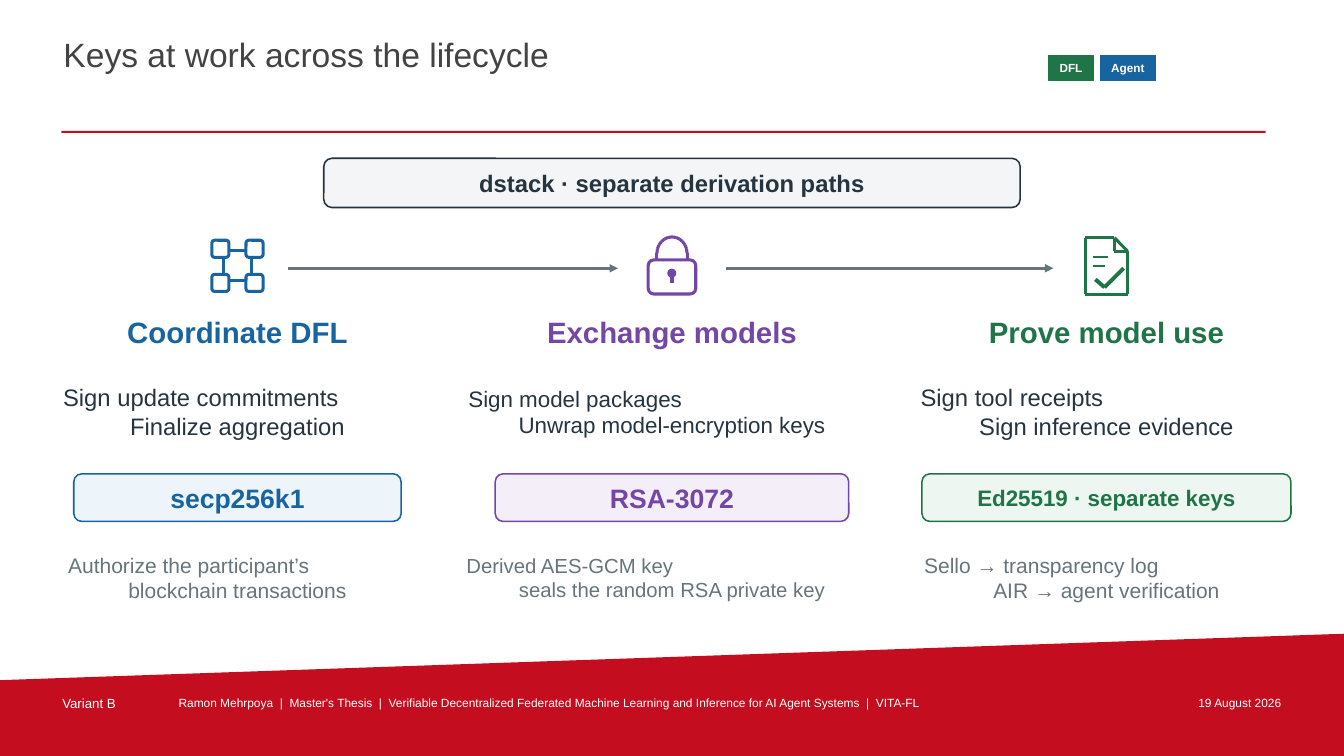
from collections import namedtuple
from dataclasses import dataclass
from itertools import pairwise
from math import cos, pi, sin

from lxml import etree
from pptx import Presentation
from pptx.dml.color import RGBColor
from pptx.enum.shapes import MSO_CONNECTOR, MSO_SHAPE
from pptx.enum.text import MSO_ANCHOR, MSO_AUTO_SIZE, PP_ALIGN
from pptx.oxml.ns import qn
from pptx.util import Cm, Pt

LEFT, CENTER, RIGHT = PP_ALIGN.LEFT, PP_ALIGN.CENTER, PP_ALIGN.RIGHT
TOP, MIDDLE = MSO_ANCHOR.TOP, MSO_ANCHOR.MIDDLE
RECTANGLE, ROUNDED, OVAL = MSO_SHAPE.RECTANGLE, MSO_SHAPE.ROUNDED_RECTANGLE, MSO_SHAPE.OVAL
STRAIGHT = MSO_CONNECTOR.STRAIGHT


@dataclass(frozen=True)
class Theme:
    font: str = "Arial"
    white: str = "FFFFFF"
    red: str = "C40D1E"
    title: str = "434343"
    ink: str = "263440"
    gray: str = "67747C"
    panel: str = "F3F5F6"
    blue: str = "1764A1"
    blue_tint: str = "EDF4FA"
    purple: str = "7446A6"
    purple_tint: str = "F3EEF8"
    green: str = "207548"
    green_tint: str = "EDF6F0"
    title_size: float = 24
    heading_size: float = 21
    banner_size: float = 17
    variant_size: float = 9.5
    footer_size: float = 8.5
    tag_size: float = 8.4
    border: float = 1.1
    icon_line: float = 2.17


THEME = Theme()
Box = namedtuple("Box", "left top width height")
Block = namedtuple("Block", "lines width size")
Stage = namedtuple("Stage", "heading color tint draw_icon clearance tasks key note")


def rgb(color):
    return RGBColor.from_string(color)


def write(shape, *lines, size, color=THEME.ink, bold=False, aligns=(CENTER,), anchor=MIDDLE, inset=0):
    """Fill a shape with one paragraph per line; the last alignment serves any further lines."""
    frame = shape.text_frame
    frame.word_wrap = True
    frame.auto_size = MSO_AUTO_SIZE.NONE
    frame.vertical_anchor = anchor
    frame.margin_left = frame.margin_right = frame.margin_top = frame.margin_bottom = Cm(inset)
    for index, line in enumerate(lines):
        paragraph = frame.add_paragraph() if index else frame.paragraphs[0]
        paragraph.alignment = aligns[min(index, len(aligns) - 1)]
        run = paragraph.add_run()
        run.text = line
        run.font.name = THEME.font
        run.font.size = Pt(size)
        run.font.bold = bold
        run.font.color.rgb = rgb(color)


def add_text(slide, box, *lines, **formatting):
    write(slide.shapes.add_textbox(*map(Cm, box)), *lines, **formatting)


def paint(shape, fill, line=None, width=THEME.border):
    shape.shadow.inherit = False
    shape.fill.solid()
    shape.fill.fore_color.rgb = rgb(fill)
    if line:
        shape.line.color.rgb = rgb(line)
        shape.line.width = Pt(width)
    else:
        shape.line.fill.background()


def add_box(slide, kind, box, **colors):
    shape = slide.shapes.add_shape(kind, *map(Cm, box))
    paint(shape, **colors)
    return shape


def add_line(slide, start, end, color, width, arrow=False):
    connector = slide.shapes.add_connector(STRAIGHT, *map(Cm, start + end))
    connector.line.color.rgb = rgb(color)
    connector.line.width = Pt(width)
    if arrow:
        etree.SubElement(connector.line._get_or_add_ln(), qn("a:tailEnd"), type="triangle")
    etree.SubElement(connector._element.spPr, qn("a:effectLst"))


def add_strokes(slide, points, origin, color, width=THEME.icon_line):
    """Join points, given in cm from the origin, by straight lines."""
    x, y = origin
    for start, end in pairwise([(x + i, y + j) for i, j in points]):
        add_line(slide, start, end, color, width)


def draw_network(slide, x, y, color):
    corners = [(-1, -1), (1, -1), (1, 1), (-1, 1)]
    ring = [(0.36 * i, 0.38 * j) for i, j in corners]
    add_strokes(slide, ring + ring[:1], (x, y), color)
    offset, side = 0.43, 0.43
    for i, j in corners:
        node = Box(x + offset * i - side / 2, y + offset * j - side / 2, side, side)
        add_box(slide, ROUNDED, node, fill=THEME.white, line=color, width=THEME.icon_line)


def draw_lock(slide, x, y, color):
    pen = {"line": color, "width": THEME.icon_line}
    radius, rise, steps = 0.38, 0.41, 12
    arc = [(-radius * cos(pi * step / steps), -0.32 - rise * sin(pi * step / steps))
           for step in range(steps + 1)]
    add_strokes(slide, [(-radius, -0.05), *arc, (radius, -0.05)], (x, y), color)
    add_box(slide, ROUNDED, Box(x - 0.6, y - 0.15, 1.2, 0.86), fill=THEME.white, **pen)
    add_box(slide, OVAL, Box(x - 0.08, y + 0.11, 0.15, 0.15), fill=color, **pen)
    add_strokes(slide, [(0, 0.28), (0, 0.44)], (x, y), color)


def draw_document(slide, x, y, color):
    fold_top, fold_corner, fold_side = (0.2, -0.71), (0.2, -0.37), (0.53, -0.37)
    page = [fold_top, (-0.53, -0.71), (-0.53, 0.72), (0.53, 0.72), fold_side,
            fold_top, fold_corner, fold_side]
    add_strokes(slide, page, (x, y), color)
    for end, height in ((0.05, -0.22), (-0.05, 0)):
        add_strokes(slide, [(-0.33, height), (end, height)], (x, y), color, 1.7)
    add_strokes(slide, [(-0.28, 0.34), (-0.05, 0.54), (0.43, 0.06)], (x, y), color, 2.83)


def add_header(slide, box):
    title = slide.shapes.title
    title.left, title.top, title.width, title.height = map(Cm, (box.left, box.top, 24.5, 1.57))
    write(title, "Keys at work across the lifecycle", size=THEME.title_size, color=THEME.title,
          aligns=(LEFT,), anchor=TOP, inset=0.05)
    add_box(slide, RECTANGLE, Box(box.left, box.top + box.height, box.width, 0.05), fill=THEME.red)
    for label, offset, width, color in (("DFL", 24.87, 1.14, THEME.green),
                                        ("Agent", 26.18, 1.39, THEME.blue)):
        tag = add_box(slide, RECTANGLE, Box(box.left + offset, box.top + 0.59, width, 0.63),
                      fill=color, line=color, width=0.55)
        write(tag, label, size=THEME.tag_size, color=THEME.white, bold=True)


def add_footer(slide, box):
    right, bottom = box.left + box.width, box.top + box.height
    builder = slide.shapes.build_freeform(Cm(box.left), Cm(box.top + 1.17))
    builder.add_line_segments([(Cm(x), Cm(y)) for x, y in (
        (right, box.top), (right, bottom), (box.left, bottom))])
    paint(builder.convert_to_shape(), fill=THEME.red)
    thesis = ("Ramon Mehrpoya  |  Master's Thesis  |  Verifiable Decentralized Federated Machine "
              "Learning and Inference for AI Agent Systems  |  VITA-FL")
    for text, left, width, size, align in (
            ("Variant B", 1.52, 2.54, THEME.variant_size, LEFT),
            (thesis, 4.45, 23.75, THEME.footer_size, LEFT),
            ("19 August 2026", 28.45, 3.89, THEME.footer_size, RIGHT)):
        add_text(slide, Box(box.left + left, box.top + 1.51, width, 0.56), text, size=size,
                 color=THEME.white, aligns=(align,), anchor=TOP, inset=0.05)


def add_banner(slide, box):
    banner = add_box(slide, ROUNDED, box, fill=THEME.panel, line=THEME.ink)
    write(banner, "dstack · separate derivation paths", size=THEME.banner_size, bold=True)


def add_stage(slide, box, stage):
    """Stack icon, heading, tasks, key and note around the middle of the box."""
    middle = box.left + box.width / 2

    def row(offset, width, height):
        return Box(middle - width / 2, box.top + offset, width, height)

    stage.draw_icon(slide, middle, box.top + 0.71, stage.color)
    add_text(slide, row(1.86, 9, 1.04), stage.heading, size=THEME.heading_size,
             color=stage.color, bold=True)
    for block, offset, height, color in ((stage.tasks, 3.48, 1.8, THEME.ink),
                                         (stage.note, 7.76, 1.6, THEME.gray)):
        add_text(slide, row(offset, block.width, height), *block.lines, size=block.size,
                 color=color, aligns=(LEFT, CENTER))
    key = add_box(slide, ROUNDED, row(5.95, stage.key.width, 1.2), fill=stage.tint, line=stage.color)
    write(key, *stage.key.lines, size=stage.key.size, color=stage.color, bold=True)


def add_stages(slide, box, stages):
    pitch = box.width / len(stages)
    arrow_y = box.top + 0.77
    for index, stage in enumerate(stages):
        left = box.left + index * pitch
        add_stage(slide, Box(left, box.top, pitch, box.height), stage)
        if index:
            middle = left + pitch / 2
            start = middle - pitch + stages[index - 1].clearance
            add_line(slide, (start, arrow_y), (middle - stage.clearance, arrow_y),
                     THEME.gray, 2, arrow=True)


STAGES = [
    Stage("Coordinate DFL", THEME.blue, THEME.blue_tint, draw_network, 1.28,
          Block(("Sign update commitments", "Finalize aggregation"), 8.79, 17),
          Block(("secp256k1",), 8.25, 19),
          Block(("Authorize the participant’s", "blockchain transactions"), 8.53, 15)),
    Stage("Exchange models", THEME.purple, THEME.purple_tint, draw_lock, 1.36,
          Block(("Sign model packages", "Unwrap model-encryption keys"), 10.26, 16),
          Block(("RSA-3072",), 8.91, 19),
          Block(("Derived AES-GCM key", "seals the random RSA private key"), 10.36, 14.5)),
    Stage("Prove model use", THEME.green, THEME.green_tint, draw_document, 1.34,
          Block(("Sign tool receipts", "Sign inference evidence"), 9.37, 17),
          Block(("Ed25519 · separate keys",), 9.3, 16),
          Block(("Sello → transparency log", "AIR → agent verification"), 9.19, 15)),
]


def main():
    presentation = Presentation()
    presentation.slide_width, presentation.slide_height = Cm(33.87), Cm(19.05)
    slide = presentation.slides.add_slide(presentation.slide_layouts[5])
    add_footer(slide, Box(0, 15.97, 33.87, 3.08))
    add_header(slide, Box(1.55, 0.81, 30.35, 2.49))
    add_banner(slide, Box(8.16, 3.99, 17.55, 1.24))
    add_stages(slide, Box(0.51, 5.99, 32.85, 9.35), STAGES)
    presentation.save("out.pptx")


if __name__ == "__main__":
    main()
